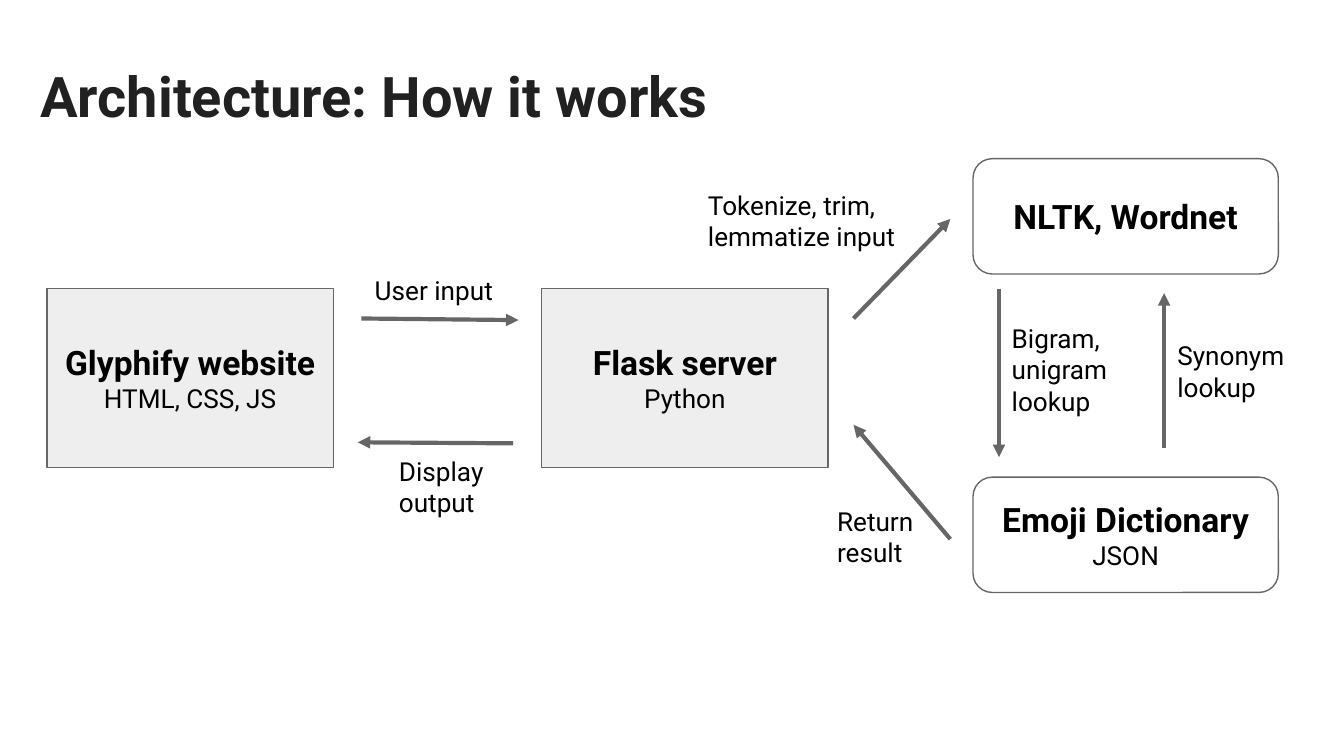
from lxml.etree import SubElement
from pptx import Presentation
from pptx.dml.color import RGBColor
from pptx.enum.shapes import MSO_CONNECTOR, MSO_SHAPE
from pptx.enum.text import MSO_ANCHOR, PP_ALIGN
from pptx.oxml.ns import qn
from pptx.util import Cm, Pt

BLACK = RGBColor(0x00, 0x00, 0x00)
CHARCOAL = RGBColor(0x21, 0x21, 0x21)
GRAY = RGBColor(0x66, 0x66, 0x66)
PALE = RGBColor(0xEE, 0xEE, 0xEE)


def write_lines(shape, lines, align, anchor):
    frame = shape.text_frame
    frame.word_wrap = True
    frame.vertical_anchor = anchor
    frame.margin_left = frame.margin_right = Cm(0.25)
    frame.margin_top = frame.margin_bottom = Cm(0.25)
    for index, (text, size, bold, color) in enumerate(lines):
        paragraph = frame.add_paragraph() if index else frame.paragraphs[0]
        paragraph.text = text
        paragraph.alignment = align
        paragraph.font.name = "Roboto"
        paragraph.font.size = Pt(size)
        paragraph.font.bold = bold
        paragraph.font.color.rgb = color


presentation = Presentation()
presentation.slide_width = Cm(25.4)
presentation.slide_height = Cm(14.29)
slide = presentation.slides.add_slide(presentation.slide_layouts[6])

SERVICE = (MSO_SHAPE.RECTANGLE, 5.41, 3.38)
RESOURCE = (MSO_SHAPE.ROUNDED_RECTANGLE, 5.77, 2.18)
components = [
    (SERVICE, 0.89, 5.46, "Glyphify website", "HTML, CSS, JS"),
    (SERVICE, 10.24, 5.46, "Flask server", "Python"),
    (RESOURCE, 18.39, 9.02, "Emoji Dictionary", "JSON"),
    (RESOURCE, 18.39, 3, "NLTK, Wordnet", None),
]
for (kind, width, height), left, top, name, technology in components:
    shape = slide.shapes.add_shape(kind, Cm(left), Cm(top), Cm(width), Cm(height))
    shape.shadow.inherit = False
    shape.line.color.rgb = GRAY
    shape.line.width = Pt(0.75)
    if kind == MSO_SHAPE.RECTANGLE:
        shape.fill.solid()
        shape.fill.fore_color.rgb = PALE
    else:
        shape.fill.background()
    lines = [(name, 18, True, BLACK)]
    if technology:
        lines.append((technology, 14, False, BLACK))
    write_lines(shape, lines, PP_ALIGN.CENTER, MSO_ANCHOR.MIDDLE)

arrows = [
    (6.83, 6.02, 9.8, 6.05),
    (9.7, 8.38, 6.76, 8.36),
    (16.13, 6.02, 17.96, 4.14),
    (18.88, 5.46, 18.88, 8.64),
    (17.96, 10.19, 16.13, 8.03),
    (22, 8.46, 22, 5.54),
]
for ends in arrows:
    arrow = slide.shapes.add_connector(MSO_CONNECTOR.STRAIGHT, *map(Cm, ends))
    arrow.line.color.rgb = GRAY
    arrow.line.width = Pt(2.25)
    SubElement(arrow.line._get_or_add_ln(), qn("a:tailEnd"), type="triangle")
    SubElement(arrow._element.spPr, qn("a:effectLst"))

labels = [
    (6.6, 4.93, 3.2, 1.22, ["User input"], PP_ALIGN.CENTER),
    (7.29, 8.36, 2.77, 1.22, ["Display", "output"], PP_ALIGN.LEFT),
    (13.13, 3.33, 5.28, 1.22, ["Tokenize, trim, lemmatize input"], PP_ALIGN.LEFT),
    (18.87, 5.84, 2.36, 2.95, ["Bigram, unigram lookup"], PP_ALIGN.LEFT),
    (22, 6.17, 2.77, 1.22, ["Synonym", "lookup"], PP_ALIGN.LEFT),
    (15.57, 9.3, 2.77, 1.22, ["Return result"], PP_ALIGN.LEFT),
]
for *box, texts, align in labels:
    label = slide.shapes.add_textbox(*map(Cm, box))
    write_lines(label, [(text, 14, False, BLACK) for text in texts], align, MSO_ANCHOR.TOP)

title = slide.shapes.add_textbox(Cm(0.51), Cm(0.56), Cm(13.13), Cm(2.46))
write_lines(title, [("Architecture: How it works", 30, True, CHARCOAL)], PP_ALIGN.LEFT, MSO_ANCHOR.MIDDLE)

presentation.save("out.pptx")
